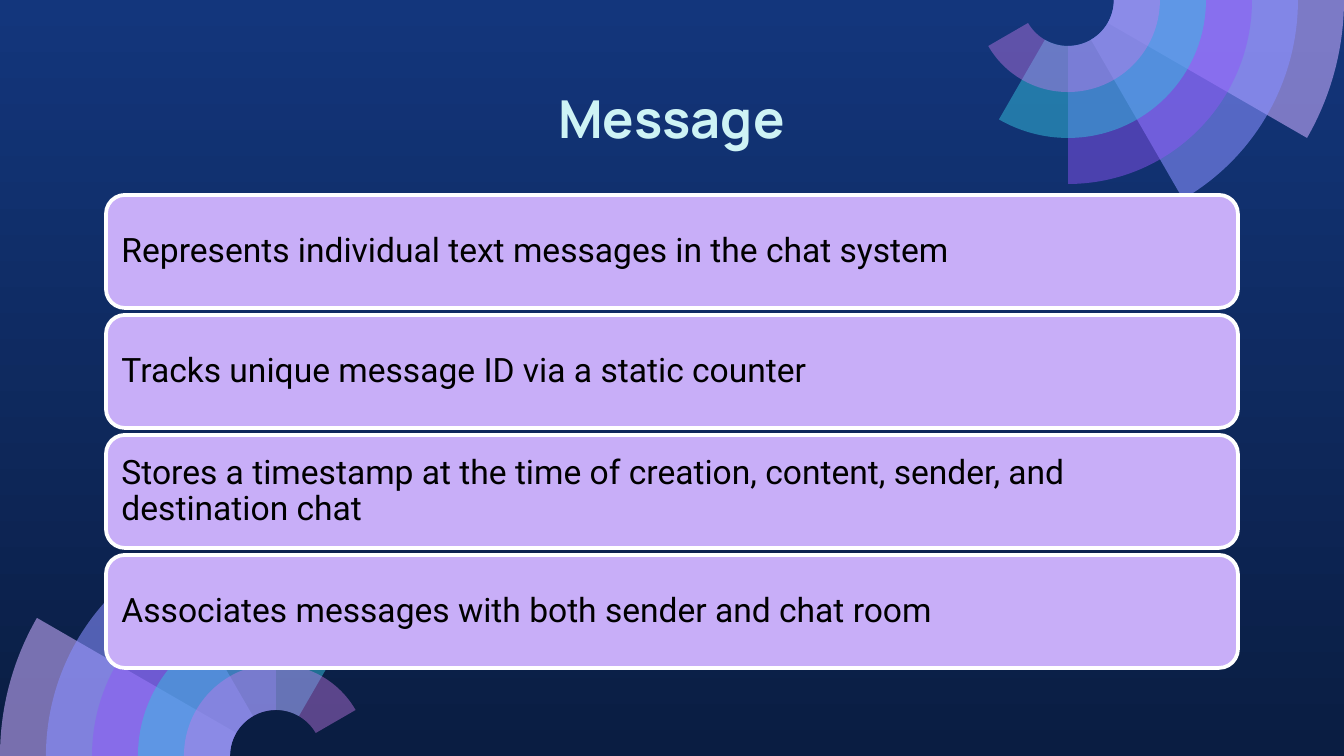
from math import cos, radians, sin, tan

from lxml import etree
from pptx import Presentation
from pptx.dml.color import RGBColor
from pptx.enum.shapes import MSO_SHAPE
from pptx.enum.text import MSO_ANCHOR, PP_ALIGN
from pptx.oxml.ns import qn
from pptx.util import Pt

ROUNDED = MSO_SHAPE.ROUNDED_RECTANGLE
MIDDLE = MSO_ANCHOR.MIDDLE
LEFT, CENTER = PP_ALIGN.LEFT, PP_ALIGN.CENTER
EMU_PER_PX = 9144000 / 1344
WIDTH, HEIGHT = 1344, 756
RING = 46
SECTORS = [
    (6, 30, "C8ACFD", 58),
    (5, 60, "878FFF", 58),
    (4, 90, "9154F8", 46),
    (3, 120, "35C2DF", 49),
    (2, 150, "CA7BEB", 42),
]
FACTS = [
    "Represents individual text messages in the chat system",
    "Tracks unique message ID via a static counter",
    "Stores a timestamp at the time of creation, content, sender, and destination chat",
    "Associates messages with both sender and chat room",
]


def px(length):
    return round(length * EMU_PER_PX)


def color(value):
    return RGBColor.from_string(value)


def place(shape, left, top, width, height):
    shape.left, shape.top = px(left), px(top)
    shape.width, shape.height = px(width), px(height)


def set_background(slide):
    fill = slide.background.fill
    fill.gradient()
    fill.gradient_angle = 270
    for stop, position, value in zip(fill.gradient_stops, (0, 1), ("13367C", "0A1D42")):
        stop.position = position
        stop.color.rgb = color(value)


def set_alpha(shape, percent):
    solid = shape.fill._xPr.find(qn("a:solidFill"))
    etree.SubElement(solid[0], qn("a:alpha"), val=str(percent * 1000))


def arc_point(center, radius, angle):
    x, y = center
    turn = radians(angle)
    return px(x + radius * cos(turn)), px(y + radius * sin(turn))


def arc_curve(center, radius, begin, end):
    x, y = center
    reach = 4 / 3 * tan(radians(end - begin) / 4)
    controls = []
    for angle, sign in ((begin, 1), (end, -1)):
        turn = radians(angle)
        across = cos(turn) - sign * reach * sin(turn)
        down = sin(turn) + sign * reach * cos(turn)
        controls.append((px(x + radius * across), px(y + radius * down)))
    return controls + [arc_point(center, radius, end)]


def bend(shape, line, points):
    curve = etree.Element(qn("a:cubicBezTo"))
    for x, y in points:
        etree.SubElement(
            curve, qn("a:pt"), x=str(x - shape.left), y=str(y - shape.top)
        )
    line.getparent().replace(line, curve)


def add_sector(group, center, radius, start, sweep):
    angles = [start] + ([start + 90] if sweep > 90 else []) + [start + sweep]
    edges = [(radius, angles), (RING, angles[::-1])]
    points = [arc_point(center, r, angle) for r, turns in edges for angle in turns]
    builder = group.shapes.build_freeform(*points[0])
    builder.add_line_segments(points[1:], close=True)
    sector = builder.convert_to_shape()
    lines = list(sector._element.iter(qn("a:lnTo")))
    for (r, turns), first in zip(edges, (0, len(angles))):
        for line, begin, end in zip(lines[first:], turns, turns[1:]):
            bend(sector, line, arc_curve(center, r, begin, end))
    return sector


def add_fan(slide, center, start):
    group = slide.shapes.add_group_shape()
    for rings, sweep, value, alpha in SECTORS:
        sector = add_sector(group, center, rings * RING, start, sweep)
        sector.shadow.inherit = False
        sector.fill.solid()
        sector.fill.fore_color.rgb = color(value)
        set_alpha(sector, alpha)
        sector.line.fill.background()


def write_text(shape, text, inset, alignment, font_name, size, value, bold=False):
    frame = shape.text_frame
    frame.word_wrap = True
    frame.vertical_anchor = MIDDLE
    frame.margin_left = frame.margin_right = px(inset)
    frame.margin_top = frame.margin_bottom = px(inset)
    paragraph = frame.paragraphs[0]
    paragraph.alignment = alignment
    paragraph.line_spacing = 0.9
    run = paragraph.add_run()
    run.text = text
    run.font.name = font_name
    run.font.size = Pt(size)
    run.font.bold = bold
    run.font.color.rgb = color(value)


def add_title(slide, text):
    title = slide.shapes.title
    place(title, 105, 80, 1133, 84)
    write_text(title, text, 13, CENTER, "Manrope", 28, "CEF3F5", bold=True)


def add_card(slide, top, text):
    card = slide.shapes.add_shape(ROUNDED, 0, 0, 0, 0)
    place(card, 106, top, 1132, 113)
    card.shadow.inherit = False
    card.fill.solid()
    card.fill.fore_color.rgb = color("C8AEF8")
    card.line.color.rgb = color("FFFFFF")
    card.line.width = Pt(2)
    write_text(card, text, 10, LEFT, "Roboto", 18, "000000")


def main():
    presentation = Presentation()
    presentation.slide_width, presentation.slide_height = px(WIDTH), px(HEIGHT)
    slide = presentation.slides.add_slide(presentation.slide_layouts[5])
    set_background(slide)
    add_fan(slide, (6 * RING, HEIGHT), 180)
    add_fan(slide, (WIDTH - 6 * RING, 0), 0)
    add_title(slide, "Message")
    for index, fact in enumerate(FACTS):
        add_card(slide, 195 + 120 * index, fact)
    presentation.save("out.pptx")


if __name__ == "__main__":
    main()
